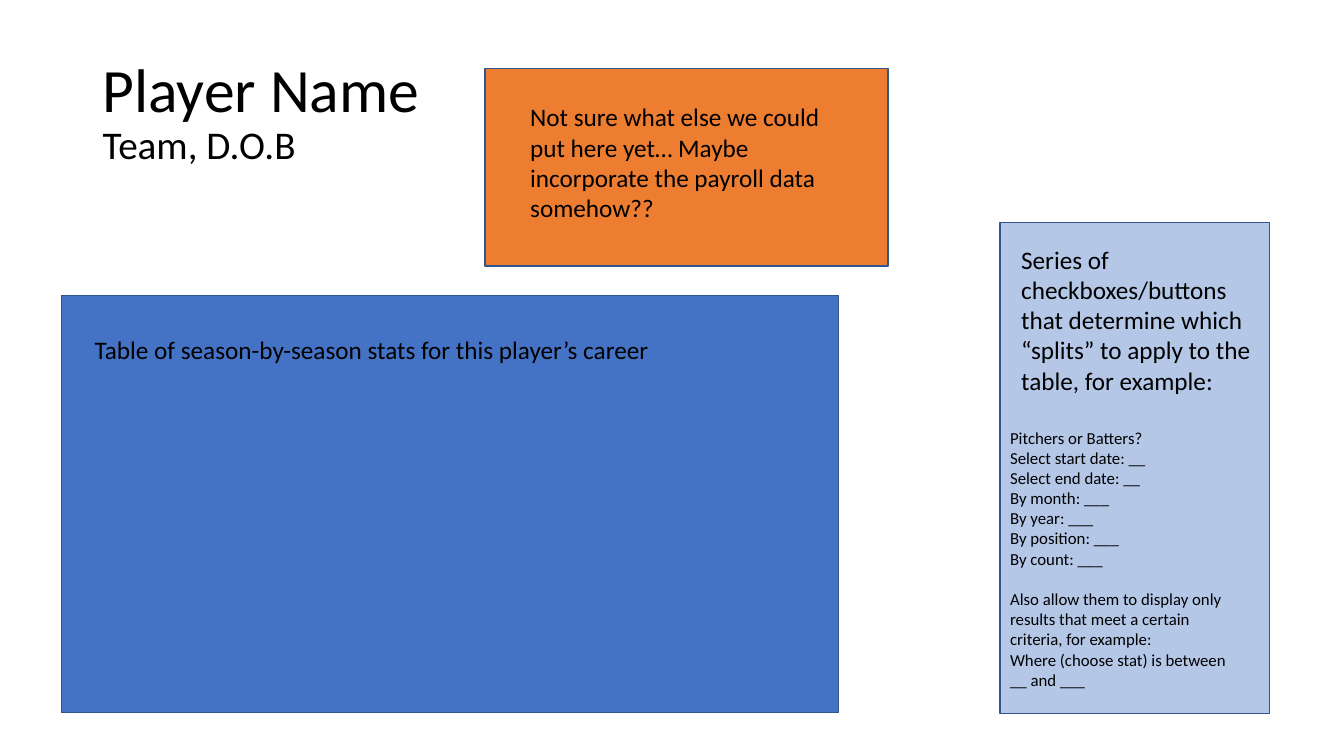
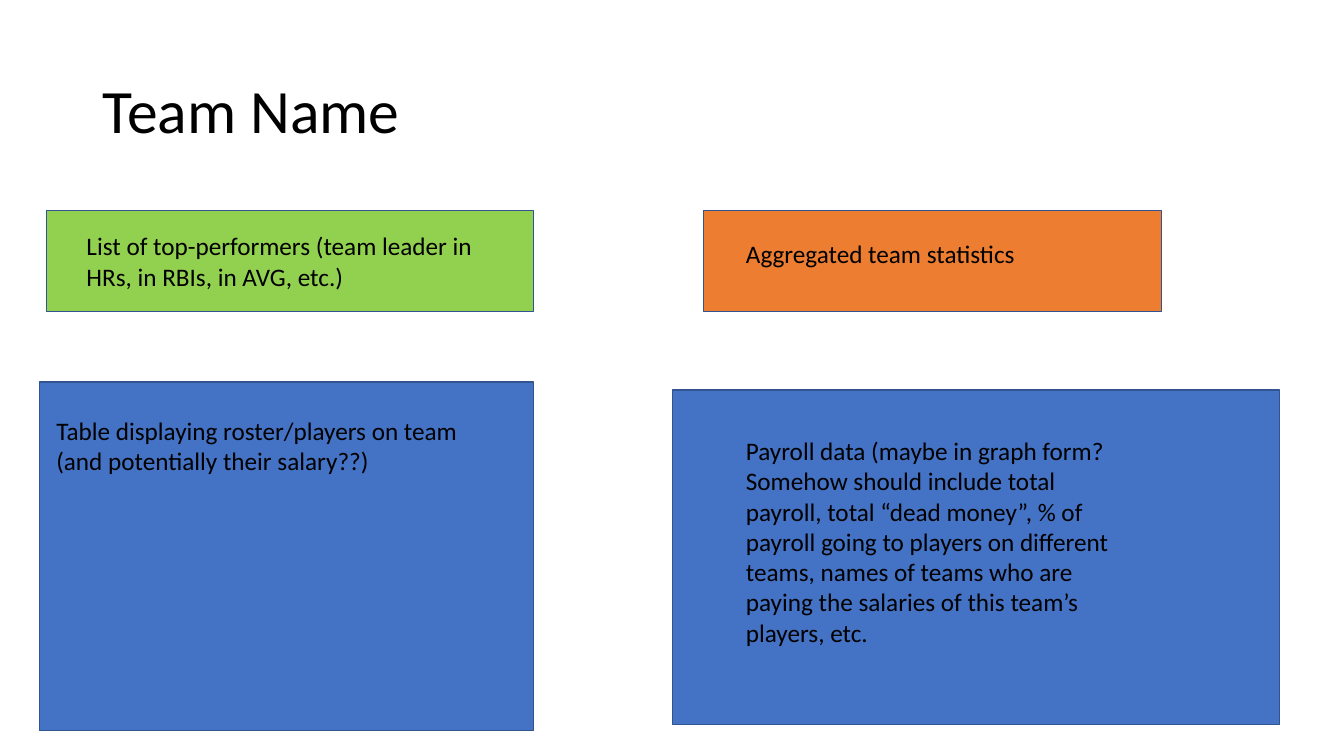
"""Build two wireframe slides: a player page and a team page."""
from pptx import Presentation
from pptx.dml.color import RGBColor
from pptx.enum.shapes import MSO_SHAPE
from pptx.enum.text import MSO_ANCHOR
from pptx.util import Inches, Pt

BLUE, PALE, ORANGE, GREEN = "4472C4", "B4C7E7", "ED7D31", "92D050"
EDGE, INK = "325491", "000000"
TITLE = (0.92, 0.4, 11.5, 1.45)
HEAD = {"size": Pt(44), "name": "Calibri"}
SUB = {**HEAD, "size": Pt(28)}
BODY = {**HEAD, "size": Pt(18)}
SMALL = {**HEAD, "size": Pt(12)}


def paint(color, code):
    """Set a colour format from a hex string."""
    color.rgb = RGBColor.from_string(code)


def write(slide, place, lines, anchor=MSO_ANCHOR.TOP, pitch=1.0):
    """Add a text box with one paragraph per (text, font, space before)."""
    frame = slide.shapes.add_textbox(*map(Inches, place)).text_frame
    frame.word_wrap = True
    frame.vertical_anchor = anchor
    for i, (text, style, gap) in enumerate(lines):
        para = frame.add_paragraph() if i else frame.paragraphs[0]
        para.line_spacing = pitch
        para.space_before = Pt(gap)
        run = para.add_run()
        run.text = text
        for key, value in style.items():
            setattr(run.font, key, value)
        paint(run.font.color, INK)


fields = [
    "Pitchers or Batters?",
    "Select start date: __",
    "Select end date: __",
    "By month: ___",
    "By year: ___",
    "By position: ___",
    "By count: ___",
]
rules = [
    ("Also allow them to display only results that meet a certain criteria, for example:", SMALL, 14.6),
    ("Where (choose stat) is between __ and ___", SMALL, 0),
]

player = {
    "title": [("Player Name", HEAD, 0), ("Team, D.O.B", SUB, 0)],
    "panels": [
        ((0.61, 2.93, 7.71, 4.14), BLUE),
        ((9.92, 2.21, 2.67, 4.87), PALE),
        ((4.81, 0.68, 4, 1.96), ORANGE),
    ],
    "notes": [
        ((0.84, 3.27, 6.34, 0.4),
         [("Table of season-by-season stats for this player’s career", BODY, 0)]),
        ((10.03, 2.37, 2.56, 1.62),
         [("Series of checkboxes/buttons that determine which “splits” "
           "to apply to the table, for example:", BODY, 0)]),
        ((9.92, 4.19, 2.43, 2.73),
         [(field, SMALL, 0) for field in fields] + rules),
        ((5.16, 0.96, 3.29, 1.31),
         [("Not sure what else we could put here yet… Maybe incorporate "
           "the payroll data somehow??", BODY, 0)]),
    ],
}
team = {
    "title": [("Team Name", HEAD, 0)],
    "panels": [
        ((0.39, 3.79, 4.9, 3.46), BLUE),
        ((0.46, 2.09, 4.83, 1), GREEN),
        ((6.98, 2.09, 4.54, 1), ORANGE),
        ((6.67, 3.87, 6.02, 3.32), BLUE),
    ],
    "notes": [
        ((0.46, 4.07, 6.21, 0.71),
         [("Table displaying roster/players on team", BODY, 0),
          ("(and potentially their salary??)", BODY, 0)]),
        ((0.76, 2.24, 4.24, 0.71),
         [("List of top-performers (team leader in HRs, in RBIs, in AVG, etc.)", BODY, 0)]),
        ((7.3, 2.32, 3.61, 0.4), [("Aggregated team statistics", BODY, 0)]),
        ((7.3, 4.27, 4, 2.22),
         [("Payroll data (maybe in graph form? Somehow should include total "
           "payroll, total “dead money”, % of payroll going to players on "
           "different teams, names of teams who are paying the salaries of "
           "this team’s players, etc.", BODY, 0)]),
    ],
}

deck = Presentation()
deck.slide_width, deck.slide_height = Inches(13.33), Inches(7.5)
for page in (player, team):
    slide = deck.slides.add_slide(deck.slide_layouts[6])
    write(slide, TITLE, page["title"], MSO_ANCHOR.MIDDLE, 0.9)
    for place, code in page["panels"]:
        panel = slide.shapes.add_shape(MSO_SHAPE.RECTANGLE, *map(Inches, place))
        panel.shadow.inherit = False
        panel.fill.solid()
        paint(panel.fill.fore_color, code)
        paint(panel.line.color, EDGE)
        panel.line.width = Pt(1)
    for place, lines in page["notes"]:
        write(slide, place, lines)
deck.save("out.pptx")
